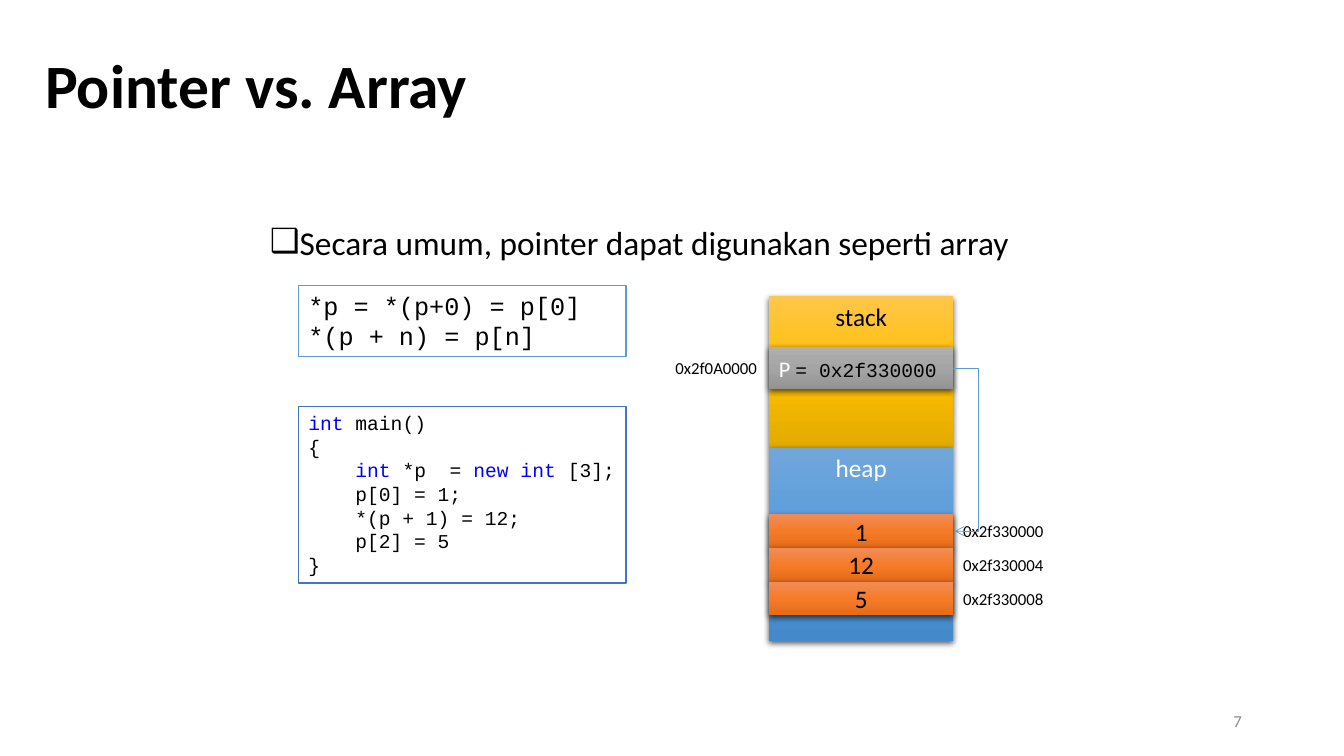
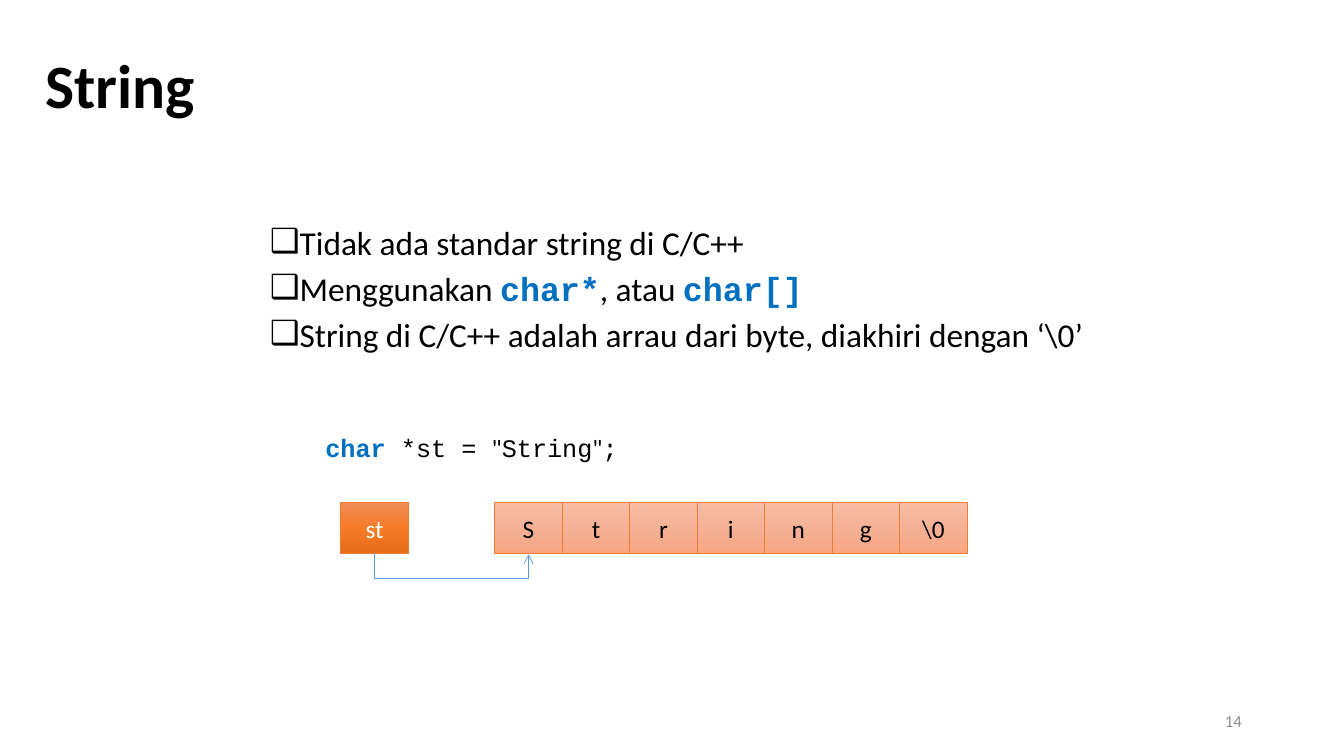
from lxml import etree
from pptx import Presentation
from pptx import util as u
from pptx.dml.color import RGBColor
from pptx.enum import shapes, text
from pptx.oxml.ns import qn

COLORS = {
    "ink": "000000", "white": "FFFFFF", "number": "8C8C8C",
    "keyword": "0000FF", "type": "0070C0",
    "frame": "4472C4", "arrow": "5B9BD5", "cell_edge": "ED7D31",
}
# Top, middle and bottom colour of each vertical gradient
GRADIENTS = {
    "stack": ("FFC64B", "FFC000", "E3AB00"),
    "heap": ("71A6DB", "559BDB", "448ACA"),
    "pointer": ("AFAFAF", "A5A5A5", "939393"),
    "value": ("F18C57", "F67B28", "E56C19"),
    "letter": ("F7BDA5", "F5B196", "F8A582"),
}
BODY_FONT, CODE_FONT = "Calibri", "Courier New"
ALIGN, ANCHOR = text.PP_ALIGN, text.MSO_ANCHOR
KEYWORD = {"color": "keyword"}
TYPE = {"font": CODE_FONT, "color": "type", "bold": True}
BEND = 0.64  # how far an elbow arrow stands off its boxes, cm


def cm(*lengths):
    return [u.Cm(round(length, 2)) for length in lengths]


def rgb(name):
    return RGBColor.from_string(COLORS[name])


def sub(parent, tag, **attributes):
    return etree.SubElement(parent, qn(tag), {k: str(v) for k, v in attributes.items()})


# ---- Shared building parts ----
def write(shape, paragraphs, size=18, font=BODY_FONT, color="ink", bold=False,
          align=ALIGN.LEFT, anchor=ANCHOR.TOP, spacing=None, before=0,
          bullet=None, wrap=True, right_inset=None):
    """Each paragraph is a string or a list of runs: strings or (string, overrides)."""
    frame = shape.text_frame
    frame.word_wrap = wrap
    frame.vertical_anchor = anchor
    if right_inset is not None:
        frame.margin_right = u.Cm(right_inset)
    for index, runs in enumerate(paragraphs):
        paragraph = frame.paragraphs[0] if index == 0 else frame.add_paragraph()
        paragraph.alignment = align
        if spacing:
            paragraph.line_spacing = spacing
        if index and before:
            paragraph.space_before = u.Pt(before)
        if bullet:
            properties = paragraph._p.get_or_add_pPr()
            indent = u.Cm(0.75)
            properties.set("marL", str(indent))
            properties.set("indent", str(-indent))
            sub(properties, "a:buFont", typeface=font)
            sub(properties, "a:buChar", char=bullet)
        for item in [runs] if isinstance(runs, str) else runs:
            words, own = (item, {}) if isinstance(item, str) else item
            style = {"size": size, "font": font, "color": color, "bold": bold, **own}
            run = paragraph.add_run()
            run.text = words
            run.font.size = u.Pt(style["size"])
            run.font.name = style["font"]
            run.font.bold = style["bold"]
            run.font.color.rgb = rgb(style["color"])
    return shape


def add_text(slide, box, paragraphs, **fmt):
    return write(slide.shapes.add_textbox(*cm(*box)), paragraphs, **fmt)


def add_block(slide, box, paragraphs=(), gradient=None, edge=None, edge_width=1,
              shadow=False, **fmt):
    block = slide.shapes.add_shape(shapes.MSO_SHAPE.RECTANGLE, *cm(*box))
    block.shadow.inherit = False
    if gradient:
        block.fill.gradient()
        block.fill.gradient_angle = 270
        stops = block.element.spPr.find(".//" + qn("a:gsLst"))
        for stop in list(stops):
            stops.remove(stop)
        for index, value in enumerate(GRADIENTS[gradient]):
            sub(sub(stops, "a:gs", pos=index * 50000), "a:srgbClr", val=value)
    else:
        block.fill.background()
    if edge:
        block.line.color.rgb = rgb(edge)
        block.line.width = u.Pt(edge_width)
    else:
        block.line.fill.background()
    if shadow:
        effects = block.element.spPr.find(qn("a:effectLst"))
        cast = sub(effects, "a:outerShdw", blurRad=u.Pt(4.5), dist=u.Pt(1.5),
                   dir=5400000, algn="ctr", rotWithShape=0)
        sub(sub(cast, "a:srgbClr", val=COLORS["ink"]), "a:alpha", val=63000)
    return write(block, paragraphs, **fmt)


def add_elbow(slide, source, target, side):
    """Arrow leaving and entering on the same side: 2 is the bottom, 3 the right."""
    arrow = slide.shapes.add_connector(shapes.MSO_CONNECTOR.ELBOW, 0, 0, 0, 0)
    arrow.begin_connect(source, side)
    arrow.end_connect(target, side)
    thin = u.Cm(0.03)
    properties = arrow.element.spPr
    # Connecting may leave flips behind; the placing below starts without them
    frame = properties.find(qn("a:xfrm"))
    for flip in ("flipH", "flipV"):
        frame.attrib.pop(flip, None)
    if side == 3:
        start = source.top + source.height // 2
        arrow.left, arrow.top = source.left + source.width, start
        arrow.height = target.top + target.height // 2 - start
    else:
        start = source.left + source.width // 2
        span = target.left + target.width // 2 - start
        arrow.left = start + span // 2 - thin // 2
        arrow.top = source.top + source.height + thin // 2 - span // 2
        arrow.height = span
        frame.set("rot", "16200000")
        frame.set("flipH", "1")
    arrow.width = thin
    adjust = properties.find(qn("a:prstGeom")).find(qn("a:avLst"))
    sub(adjust, "a:gd", name="adj1", fmla=f"val {round(u.Cm(BEND) / thin * 100000)}")
    arrow.line.color.rgb = rgb("arrow")
    arrow.line.width = u.Pt(0.5)
    sub(properties.find(qn("a:ln")), "a:tailEnd", type="arrow")
    sub(properties, "a:effectLst")


def start_slide(deck, title, number, bullets):
    slide = deck.slides.add_slide(deck.slide_layouts[6])
    add_text(slide, (0.89, 0.38, 27.89, 3.68), [title], size=44, bold=True,
             anchor=ANCHOR.MIDDLE, spacing=0.9)
    add_text(slide, (6.55, 5.66, 22.55, 1.3 * len(bullets)), bullets, size=23.8,
             spacing=0.8, before=10, bullet="❑")
    add_text(slide, (23.93, 17.65, 7.62, 1.02), [str(number)], size=12,
             color="number", align=ALIGN.RIGHT, anchor=ANCHOR.MIDDLE)
    return slide


# ---- Memory map: stack above heap, with addresses beside it ----
def draw_memory(slide, left, top, width):
    stack_height, heap_height, cell_height = 3.81, 4.88, 0.85
    label = dict(size=12, align=ALIGN.CENTER, anchor=ANCHOR.MIDDLE, wrap=False)

    # Regions
    add_block(slide, (left, top, width, stack_height), ["stack"],
              gradient="stack", shadow=True, align=ALIGN.CENTER)
    add_block(slide, (left, top + stack_height, width, heap_height), ["heap"],
              gradient="heap", shadow=True, align=ALIGN.CENTER, color="white")

    # Pointer on the stack
    pointer_top, pointer_height = top + 1.27, 1.07
    pointer = add_block(
        slide, (left, pointer_top, width, pointer_height),
        [[("P ", {"size": 16, "font": BODY_FONT, "color": "white"}), "= 0x2f330000"]],
        gradient="pointer", shadow=True, size=14, font=CODE_FONT,
        anchor=ANCHOR.MIDDLE, right_inset=0)
    add_text(slide, (left - 2.64, pointer_top, 2.62, pointer_height),
             ["0x2f0A0000"], **label)

    # Array cells on the heap
    cells = []
    values = [("1", "0x2f330000"), ("12", "0x2f330004"), ("5", "0x2f330008")]
    for index, (value, address) in enumerate(values):
        cell_top = top + 5.49 + index * cell_height
        cells.append(add_block(
            slide, (left, cell_top, width, cell_height), [value], gradient="value",
            shadow=True, align=ALIGN.CENTER, anchor=ANCHOR.MIDDLE))
        add_text(slide, (left + width - 0.03, cell_top, 2.57, cell_height),
                 [address], **label)
    add_elbow(slide, pointer, cells[0], side=3)


# ---- Pointer variable and the characters it points to ----
def draw_characters(slide, left, top):
    width, height = 1.7, 1.27
    look = dict(edge="cell_edge", edge_width=0.5, align=ALIGN.CENTER,
                anchor=ANCHOR.MIDDLE)
    variable = add_block(slide, (left, top, width, height), ["st"],
                         gradient="value", color="white", **look)
    letters = [
        add_block(slide, (left + 3.88 + index * width, top, width, height), [letter],
                  gradient="letter", **look)
        for index, letter in enumerate([*"String", "\\0"])
    ]
    add_elbow(slide, variable, letters[0], side=2)


# ---- Slides ----
def pointer_slide(deck):
    slide = start_slide(deck, "Pointer vs. Array", 7,
                        ["Secara umum, pointer dapat digunakan seperti array"])
    left, width = 7.52, 8.26
    add_block(slide, (left, 7.19, width, 1.8), ["*p = *(p+0) = p[0]", "*(p + n) = p[n]"],
              edge="arrow", font=CODE_FONT)
    program = [
        [("int", KEYWORD), " main()"],
        "{",
        ["    ", ("int", KEYWORD), " *p  = ", ("new int", KEYWORD), " [3];"],
        "    p[0] = 1;",
        "    *(p + 1) = 12;",
        "    p[2] = 5",
        "}",
    ]
    add_block(slide, (left, 10.24, width, 4.45), program, edge="frame", size=14,
              font=CODE_FONT, right_inset=0)
    draw_memory(slide, 19.38, 7.47, 4.65)


def string_slide(deck):
    slide = start_slide(deck, "String", 14, [
        "Tidak ada standar string di C/C++",
        ["Menggunakan ", ("char*", TYPE), ", atau ", ("char[]", TYPE)],
        "String di C/C++ adalah arrau dari byte, diakhiri dengan ‘\\0’",
    ])
    quote = ('"', {"font": BODY_FONT})
    add_text(slide, (7.95, 10.77, 7.92, 1.02),
             [[("char", TYPE), " *st = ", quote, "String", quote, ";"]], font=CODE_FONT)
    draw_characters(slide, 8.59, 12.67)


def main():
    deck = Presentation()
    deck.slide_width, deck.slide_height = cm(33.87, 19.05)
    pointer_slide(deck)
    string_slide(deck)
    deck.save("out.pptx")


if __name__ == "__main__":
    main()
